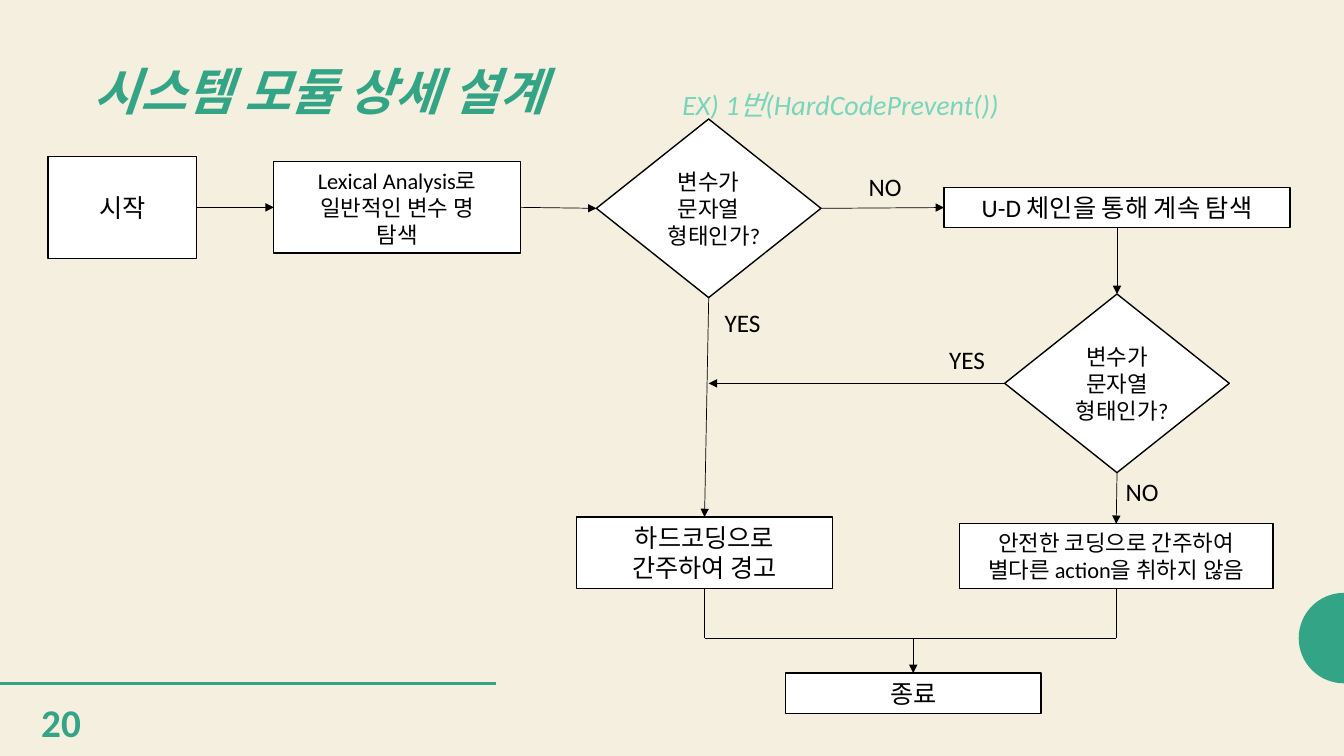
from dataclasses import dataclass
from math import cos, pi, sin

from pptx import Presentation
from pptx.dml.color import RGBColor
from pptx.enum.shapes import MSO_CONNECTOR as Connector, MSO_SHAPE as Shape
from pptx.enum.text import MSO_ANCHOR as Anchor, MSO_AUTO_SIZE as AutoSize, PP_ALIGN as Align
from pptx.oxml.ns import qn
from pptx.util import Cm, Pt


@dataclass(frozen=True)
class Theme:
    font: str = "Calibri"
    background: RGBColor = RGBColor(0xF4, 0xEF, 0xDF)
    accent: RGBColor = RGBColor(0x33, 0xA4, 0x85)
    light_accent: RGBColor = RGBColor(0x78, 0xD5, 0xBB)
    ink: RGBColor = RGBColor(0, 0, 0)
    paper: RGBColor = RGBColor(0xFF, 0xFF, 0xFF)
    title_size: int = 36
    number_size: int = 28
    subtitle_size: int = 20
    large_size: int = 18
    small_size: int = 16
    accent_width: float = 2
    border_width: float = 1
    arrow_width: float = 0.5


THEME = Theme()
SLIDE_WIDTH, SLIDE_HEIGHT = 33.87, 19.05
TOP, LEFT, BOTTOM, RIGHT = range(4)  # connection sites of boxes and diamonds
DIAMOND_SIZE = (5.66, 4.5)
BOX_WIDTH, LINE_HEIGHT = 6.45, 1.02
MERGE_Y = 16.08


def write(shape, lines, size, color, align=Align.LEFT, anchor=Anchor.TOP,
          bold=False, italic=False):
    frame = shape.text_frame
    frame.word_wrap = True
    frame.auto_size = AutoSize.NONE
    frame.vertical_anchor = anchor
    for index, line in enumerate(lines):
        paragraph = frame.add_paragraph() if index else frame.paragraphs[0]
        paragraph.alignment = align
        paragraph.space_before = Pt(0)
        run = paragraph.add_run()
        run.text = line
        font = run.font
        font.name, font.size = THEME.font, Pt(size)
        font.bold, font.italic = bold, italic
        font.color.rgb = color


def place(shape, left, top, width, height):
    shape.left, shape.top = Cm(left), Cm(top)
    shape.width, shape.height = Cm(width), Cm(height)


def add_label(slide, text, left, top, width, height=LINE_HEIGHT,
              size=THEME.large_size, color=THEME.ink, bold=False):
    box = slide.shapes.add_textbox(Cm(left), Cm(top), Cm(width), Cm(height))
    write(box, [text], size, color, bold=bold)


def add_node(slide, kind, lines, left, top, width, height, size=THEME.large_size):
    node = slide.shapes.add_shape(kind, Cm(left), Cm(top), Cm(width), Cm(height))
    node.shadow.inherit = False
    node.fill.solid()
    node.fill.fore_color.rgb = THEME.paper
    node.line.color.rgb = THEME.ink
    node.line.width = Pt(THEME.border_width)
    write(node, lines, size, THEME.ink, Align.CENTER, Anchor.MIDDLE)
    return node


def add_question(slide, left, top):
    return add_node(slide, Shape.DIAMOND, ["변수가 문자열 형태인가?"],
                    left, top, *DIAMOND_SIZE, THEME.small_size)


def add_line(slide, start, end, arrow=False, color=THEME.ink, width=THEME.arrow_width):
    """Draw a line; each end is an (x, y) point or a (node, site) pair."""
    line = slide.shapes.add_connector(Connector.STRAIGHT, 0, 0, 0, 0)
    if isinstance(start[0], (int, float)):
        line.begin_x, line.begin_y = Cm(start[0]), Cm(start[1])
    else:
        line.begin_connect(*start)
    if isinstance(end[0], (int, float)):
        line.end_x, line.end_y = Cm(end[0]), Cm(end[1])
    else:
        line.end_connect(*end)
    line.line.color.rgb = color
    line.line.width = Pt(width)
    properties = line._element.spPr
    if arrow:
        outline = properties.find(qn("a:ln"))
        head = outline.makeelement(qn("a:tailEnd"), {"type": "triangle"})
        outline.append(head)
    properties.append(properties.makeelement(qn("a:effectLst"), {}))


def add_half_circle(slide, center_y, radius, steps=32):
    angles = [pi / 2 + pi * step / steps for step in range(steps + 1)]
    points = [(Cm(SLIDE_WIDTH + radius * cos(angle)), Cm(center_y - radius * sin(angle)))
              for angle in angles]
    builder = slide.shapes.build_freeform(*points[0])
    builder.add_line_segments(points[1:], close=True)
    half_circle = builder.convert_to_shape()
    half_circle.shadow.inherit = False
    half_circle.fill.solid()
    half_circle.fill.fore_color.rgb = THEME.accent
    half_circle.line.fill.background()


def add_headings(slide):
    title, subtitle = slide.shapes.title, slide.placeholders[1]
    place(title, 2.11, 1.55, 14.48, 2.01)
    write(title, ["시스템 모듈 상세 설계"], THEME.title_size, THEME.accent,
          bold=True, italic=True)
    title.text_frame.paragraphs[0].line_spacing = 0.9

    place(subtitle, 16.94, 2.08, 17.35, 1.5)
    properties = subtitle.text_frame.paragraphs[0]._p.get_or_add_pPr()
    properties.set("marL", "0")
    properties.set("indent", "0")
    properties.append(properties.makeelement(qn("a:buNone"), {}))
    write(subtitle, ["EX) 1번(HardCodePrevent())"], THEME.subtitle_size,
          THEME.light_accent, italic=True)


def add_flowchart(slide):
    # Steps
    start = add_node(slide, Shape.RECTANGLE, ["시작"], 1.21, 3.94, 3.75, 2.58)
    search = add_node(slide, Shape.RECTANGLE,
                      ["Lexical Analysis로", "일반적인 변수 명", "탐색"],
                      6.9, 4.07, 6.22, 2.31, THEME.small_size)
    first_question = add_question(slide, 15.03, 3)
    chain = add_node(slide, Shape.RECTANGLE, ["U-D 체인을 통해 계속 탐색"],
                     23.79, 4.72, 8.72, LINE_HEIGHT)
    second_question = add_question(slide, 25.32, 7.41)
    warning = add_node(slide, Shape.RECTANGLE, ["하드코딩으로 간주하여 경고"],
                       14.53, 13.03, BOX_WIDTH, 1.8)
    safe = add_node(slide, Shape.RECTANGLE,
                    ["안전한 코딩으로 간주하여", "별다른 action을 취하지 않음"],
                    24.18, 13.2, 7.9, 1.63, THEME.small_size)
    finish = add_node(slide, Shape.RECTANGLE, ["종료"],
                      19.79, 16.96, BOX_WIDTH, LINE_HEIGHT)

    # Arrows between steps
    for source, source_site, target, target_site in (
        (start, RIGHT, search, LEFT),
        (search, RIGHT, first_question, LEFT),
        (first_question, RIGHT, chain, LEFT),
        (first_question, BOTTOM, warning, TOP),
        (chain, BOTTOM, second_question, TOP),
        (second_question, BOTTOM, safe, TOP),
    ):
        add_line(slide, (source, source_site), (target, target_site), arrow=True)
    add_line(slide, (second_question, LEFT), (17.86, 9.66), arrow=True)

    # Both outcomes merge into the end
    warning_x, safe_x, finish_x = (
        (node.left + node.width / 2) / Cm(1) for node in (warning, safe, finish))
    add_line(slide, (warning, BOTTOM), (warning_x, MERGE_Y))
    add_line(slide, (safe, BOTTOM), (safe_x, MERGE_Y))
    add_line(slide, (safe_x, MERGE_Y), (warning_x, MERGE_Y))
    add_line(slide, (finish_x, MERGE_Y), (finish, TOP), arrow=True)

    # Branch labels
    for text, left, top, width in (
        ("NO", 21.64, 4.19, 1.55),
        ("YES", 18.01, 7.62, 1.93),
        ("NO", 28.12, 11.87, 1.55),
        ("YES", 23.67, 8.56, 1.93),
    ):
        add_label(slide, text, left, top, width)


def main():
    presentation = Presentation()
    presentation.slide_width = Cm(SLIDE_WIDTH)
    presentation.slide_height = Cm(SLIDE_HEIGHT)
    slide = presentation.slides.add_slide(presentation.slide_layouts[1])
    slide.background.fill.solid()
    slide.background.fill.fore_color.rgb = THEME.background

    # Decoration and page number
    add_half_circle(slide, MERGE_Y, 1.14)
    add_line(slide, (0, 17.22), (12.5, 17.22),
             color=THEME.accent, width=THEME.accent_width)
    add_label(slide, "20", 0.79, 17.48, 1.88, 1.45,
              THEME.number_size, THEME.accent, bold=True)

    add_headings(slide)
    add_flowchart(slide)
    presentation.save("out.pptx")


if __name__ == "__main__":
    main()
